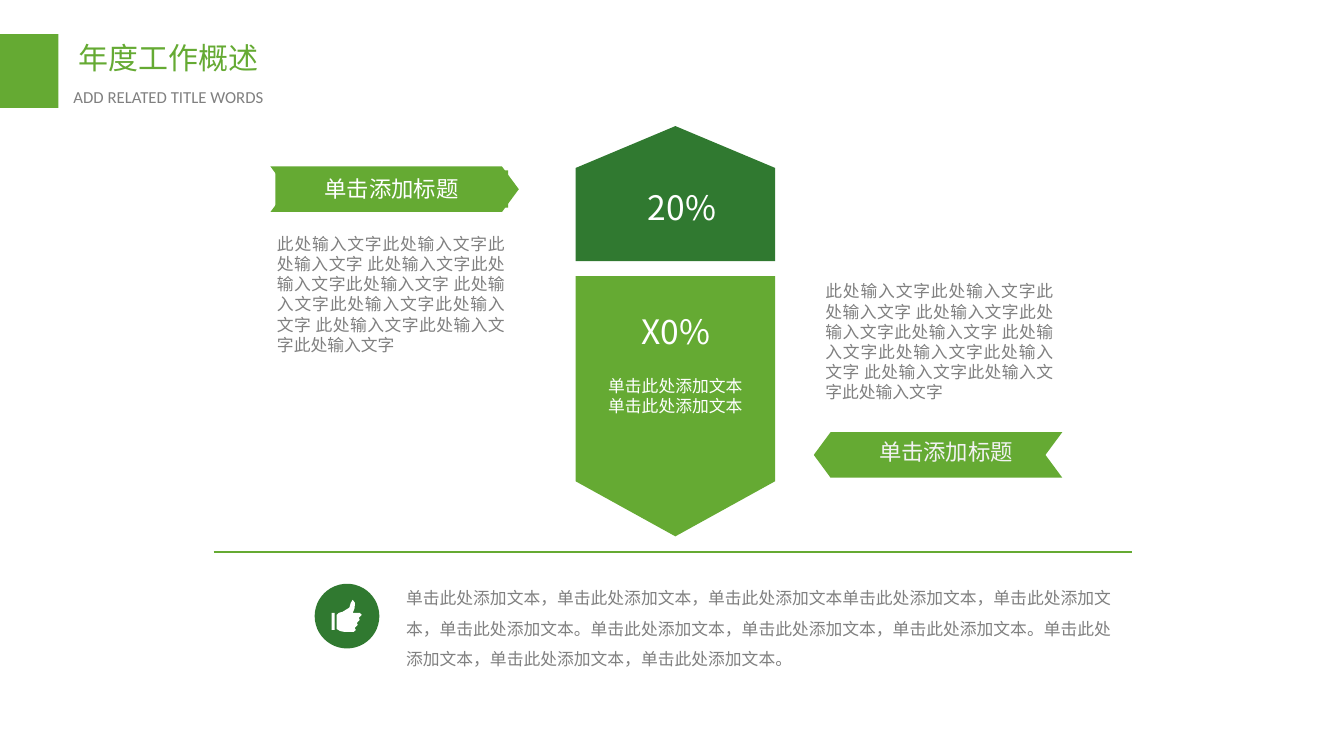
"""Build the annual work overview slide with two arrow blocks and two ribbons."""
import pptx
import pptx.dml.color
import pptx.enum.shapes
import pptx.enum.text
import pptx.oxml.ns
import pptx.util
from lxml import etree

Pt = pptx.util.Pt
RGB = pptx.dml.color.RGBColor
SHAPES = pptx.enum.shapes.MSO_SHAPE
ALIGN = pptx.enum.text.PP_ALIGN
ANCHOR = pptx.enum.text.MSO_ANCHOR
qn = pptx.oxml.ns.qn

COLORS = {
    "green": "65AA33",
    "dark": "307930",
    "gray": "808080",
    "white": "FFFFFF",
    "pale": "F2F2F2",
}
CJK = "Noto Sans CJK SC"

deck = pptx.Presentation()
deck.slide_width = Pt(960)
deck.slide_height = Pt(540)
page = deck.slides.add_slide(deck.slide_layouts[6])


def paint(shape, color):
    shape.shadow.inherit = False
    shape.fill.solid()
    shape.fill.fore_color.rgb = RGB.from_string(COLORS[color])
    shape.line.fill.background()


def write(frame, text, size, color, align, font=CJK, anchor=ANCHOR.MIDDLE, spacing=None):
    frame.word_wrap = True
    frame.vertical_anchor = anchor
    frame.text = text
    for para in frame.paragraphs:
        para.alignment = align
        if spacing:
            para.line_spacing = Pt(spacing)
        for span in para.runs:
            span.font.size = Pt(size)
            span.font.name = font
            span.font.color.rgb = RGB.from_string(COLORS[color])
            east_asian = etree.SubElement(span.font._element, qn("a:ea"))
            east_asian.set("typeface", font)


preset_shapes = [
    (SHAPES.RECTANGLE, 0, 24.5, 41.8, 52.6, 0, None, "green"),
    (SHAPES.PENTAGON, 434.2, 67, 96.5, 142.6, 270, 0.31, "dark"),
    (SHAPES.PENTAGON, 389.5, 218.9, 185.8, 142.6, 90, 0.276, "green"),
    (SHAPES.OVAL, 224.8, 417, 46.2, 46.2, 0, None, "dark"),
]
for kind, left, top, width, height, turn, point, color in preset_shapes:
    shape = page.shapes.add_shape(kind, Pt(left), Pt(top), Pt(width), Pt(height))
    shape.rotation = turn
    if point is not None:
        shape.adjustments[0] = point
    paint(shape, color)

ribbon_height = 32.5
for tail, tip, top in [(193.2, 370.6, 118.9), (758.8, 581.3, 308.7)]:
    step = 12 if tip > tail else -12
    middle, bottom = top + ribbon_height / 2, top + ribbon_height
    outline = [(tail + step, middle), (tail, bottom), (tip - step, bottom),
               (tip, middle), (tip - step, top)]
    builder = page.shapes.build_freeform(Pt(tail), Pt(top))
    builder.add_line_segments([(Pt(x), Pt(y)) for x, y in outline])
    paint(builder.convert_to_shape(), color="green")

label = page.shapes.add_shape(SHAPES.RECTANGLE, Pt(196.6), Pt(121.7), Pt(166.3), Pt(26.6))
paint(label, "green")
write(label.text_frame, "单击添加标题", 16, "white", ALIGN.CENTER)

thumb = [
    (257, 437.8), (252, 437.8), (253.4, 434.2), (253.5, 430.5), (252, 428.4),
    (250.6, 430.6), (249.6, 434), (244.8, 437), (242, 437.8), (240.5, 439.2),
    (240.5, 449.3), (243, 450.8), (246.2, 451.4), (252.7, 451.4), (254.2, 450),
    (253.4, 448.6), (255.6, 446.4), (254.9, 445), (257, 442.8), (256.3, 441.4),
    (258.5, 439.2),
]
cuff = [(236.9, 437.8), (239, 437.8), (239, 450), (236.9, 450)]
hand = [(Pt(x), Pt(y)) for x, y in thumb]
wrist = [(Pt(x), Pt(y)) for x, y in cuff]
builder = page.shapes.build_freeform(*hand[0])
builder.add_line_segments(hand[1:])
builder.move_to(*wrist[0])
builder.add_line_segments(wrist[1:])
paint(builder.convert_to_shape(), "white")

divider = page.shapes.add_connector(
    pptx.enum.shapes.MSO_CONNECTOR.STRAIGHT, Pt(152.6), Pt(394.6), Pt(808.6), Pt(394.6))
divider.line.color.rgb = RGB.from_string(COLORS["green"])
divider.line.width = Pt(1.5)
etree.SubElement(divider._element.spPr, qn("a:effectLst"))

headings = [
    (49, 24.5, 193, 33.1, "年度工作概述", 21.4, "green", ALIGN.JUSTIFY, CJK),
    (45.4, 58.3, 213.8, 21.6, "ADD RELATED TITLE WORDS", 12, "gray", ALIGN.JUSTIFY, "Calibri"),
    (445.7, 129.6, 82.8, 36, "20%", 24, "white", ALIGN.CENTER, CJK),
    (441.4, 218.2, 82.8, 36, "X0%", 24, "white", ALIGN.CENTER, CJK),
    (592.6, 309.6, 166.3, 26.6, "单击添加标题", 16, "pale", ALIGN.CENTER, CJK),
]
for left, top, width, height, text, size, color, align, font in headings:
    box = page.shapes.add_textbox(Pt(left), Pt(top), Pt(width), Pt(height))
    write(box.text_frame, text, size, color, align, font)

body = ("此处输入文字" * 3 + " ") * 4
prompt = "单击此处添加文本"
summary = (
    "单击此处添加文本，单击此处添加文本，单击此处添加文本单击此处添加文本，"
    "单击此处添加文本，单击此处添加文本。单击此处添加文本，单击此处添加文本，"
    "单击此处添加文本。单击此处添加文本，单击此处添加文本，单击此处添加文本。"
)
passages = [
    (411.1, 265, 142.6, 36, prompt + "\n" + prompt, "white", ALIGN.CENTER, 14.4),
    (190.8, 163.4, 177.1, 138.2, body, "gray", ALIGN.JUSTIFY, 14.4),
    (582.5, 197.3, 177.1, 138.2, body, "gray", ALIGN.JUSTIFY, 14.4),
    (283, 409, 520.6, 72.7, summary, "gray", ALIGN.LEFT, 21.8),
]
for left, top, width, height, text, color, align, spacing in passages:
    box = page.shapes.add_textbox(Pt(left), Pt(top), Pt(width), Pt(height))
    write(box.text_frame, text, 12, color, align, anchor=ANCHOR.TOP, spacing=spacing)

deck.save("out.pptx")
